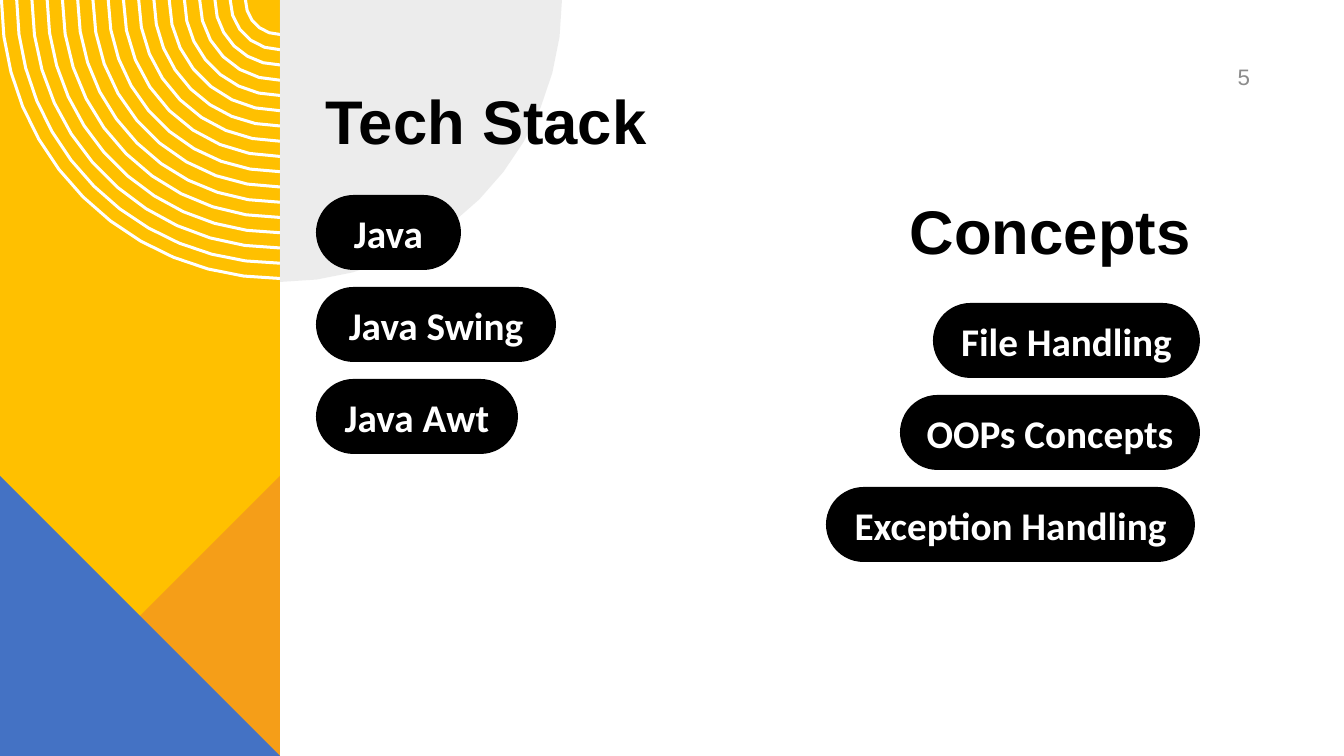
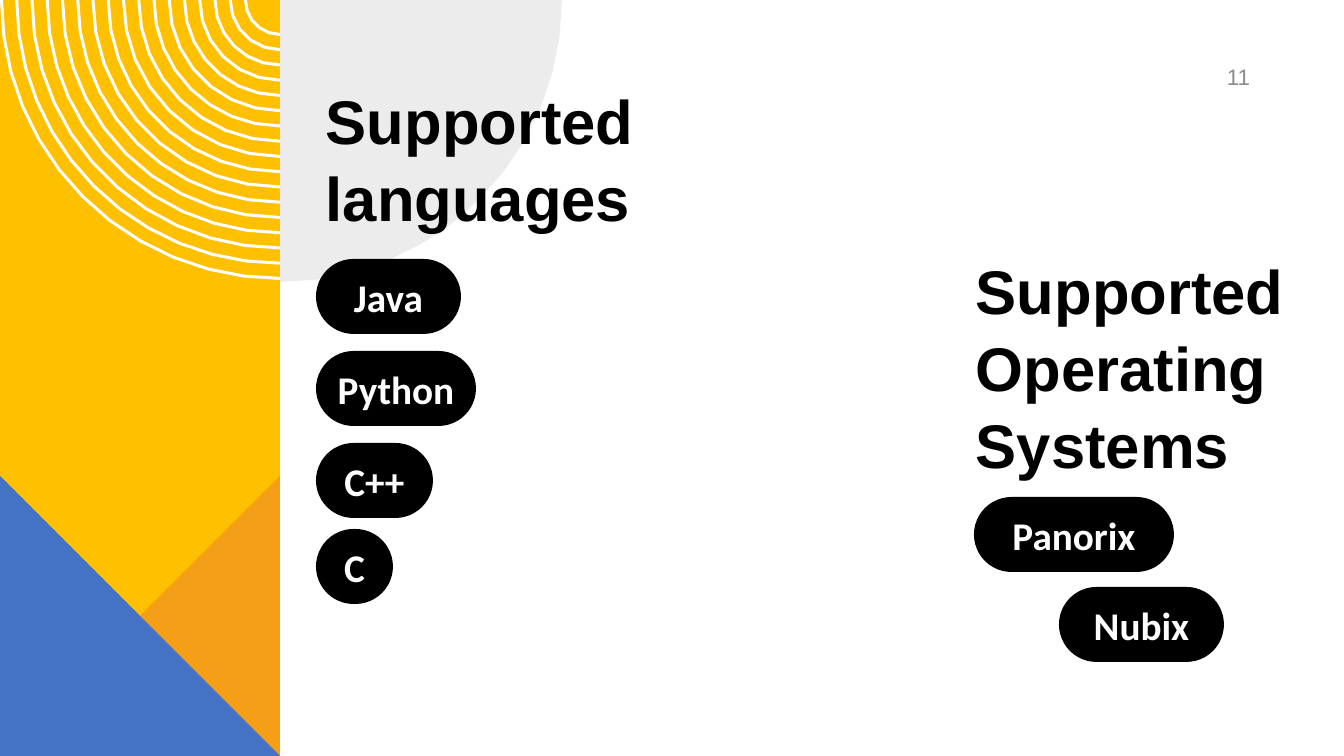
import math
from dataclasses import dataclass, field
from typing import Any, NamedTuple

import lxml.etree
import pptx
import pptx.dml.color
import pptx.enum.shapes
import pptx.enum.text
import pptx.oxml.ns
import pptx.util

WIDE, HIGH = 1344, 756
SCALE = 12192000 / WIDE
EDGE = 280
LEFT = 316
PILL_HIGH = 75
RINGS = 17
STROKE = 3

Align = pptx.enum.text.PP_ALIGN
Anchor = pptx.enum.text.MSO_ANCHOR
Point = tuple[float, float]


class Font(NamedTuple):
    name: str
    size: int
    bold: bool
    color: str


@dataclass(frozen=True)
class Theme:
    gold: str = "FFC000"
    white: str = "FFFFFF"
    orange: str = "ED7D31"
    blue: str = "4472C4"
    gray: str = "DBDBDB"
    black: str = "000000"
    title: Font = Font("Arial", 44, True, "000000")
    number: Font = Font("Arial", 16, False, "8C8C8C")
    pill: Font = Font("Calibri", 28, True, "FFFFFF")


THEME = Theme()


class Box(NamedTuple):
    x: int
    y: int
    w: int
    h: int


class Pill(NamedTuple):
    text: str
    x: int
    w: int
    shift: int = 0


@dataclass(frozen=True)
class Column:
    title: str
    box: Box
    top: int
    pitch: int = 92
    pills: list[Pill] = field(default_factory=list)


@dataclass(frozen=True)
class Page:
    number: int
    columns: list[Column]


PAGES = [
    Page(5, [
        Column("Tech Stack", Box(LEFT, 47, 389, 110), 195, pills=[
            Pill("Java", LEFT, 145),
            Pill("Java Swing", LEFT, 240),
            Pill("Java Awt", LEFT, 202),
        ]),
        Column("Concepts", Box(900, 157, 389, 110), 303, pills=[
            Pill("File Handling", 933, 267),
            Pill("OOPs Concepts", 900, 300),
            Pill("Exception Handling", 826, 369),
        ]),
    ]),
    Page(11, [
        Column("Supported languages", Box(LEFT, 87, 389, 147), 259, pills=[
            Pill("Java", LEFT, 145),
            Pill("Python", LEFT, 160),
            Pill("C++", LEFT, 117),
            Pill("C", LEFT, 77, -6),
        ]),
        Column("Supported Operating Systems", Box(966, 274, 378, 207), 497, 90, [
            Pill("Panorix", 974, 200),
            Pill("Nubix", 1059, 165),
        ]),
    ]),
]


def px(size: float) -> pptx.util.Emu:
    return pptx.util.Emu(round(size * SCALE))


def apply(target: Any, values: dict[str, Any]) -> None:
    for name, value in values.items():
        setattr(target, name, value)


def rgb(color: str) -> pptx.dml.color.RGBColor:
    return pptx.dml.color.RGBColor.from_string(color)


def paint(shape: Any, color: str, alpha: int = 100) -> None:
    shape.shadow.inherit = False
    shape.line.fill.background()
    shape.fill.solid()
    shape.fill.fore_color.rgb = rgb(color)
    if alpha < 100:
        qn = pptx.oxml.ns.qn
        node = shape.fill._xPr.find(f".//{qn('a:srgbClr')}")
        lxml.etree.SubElement(node, qn("a:alpha"), val=str(alpha * 1000))


def write(shape: Any, text: str, font: Font, align: Any, frame: dict[str, Any],
          space: float = 1.0) -> None:
    apply(shape.text_frame, frame)
    para = shape.text_frame.paragraphs[0]
    apply(para, {"alignment": align, "line_spacing": space})
    run = para.add_run()
    run.text = text
    apply(run.font, {"name": font.name, "size": pptx.util.Pt(font.size), "bold": font.bold})
    run.font.color.rgb = rgb(font.color)


def outline(slide: Any, paths: list[list[Point]], close: bool = True) -> Any:
    scaled = [[(px(x), px(y)) for x, y in points] for points in paths]
    form = slide.shapes.build_freeform(*scaled[0][0], scale=1.0)
    for index, points in enumerate(scaled):
        if index:
            form.move_to(*points[0])
        form.add_line_segments(points[1:], close=close)
    return form.convert_to_shape()


def arc(radius: float, start: int) -> list[Point]:
    steps = 4 + round(radius / 35)
    turns = [math.radians(start + 90 * i / steps) for i in range(steps + 1)]
    return [(EDGE + radius * math.cos(t), radius * math.sin(t)) for t in turns]


def draw_rings(slide: Any) -> None:
    step = (EDGE - 36) / (RINGS - 1)
    radii = [EDGE - STROKE / 2 - step * i for i in range(RINGS)]
    shape = outline(slide, [arc(r, 90) for r in radii], close=False)
    shape.shadow.inherit = False
    shape.fill.background()
    shape.line.color.rgb = rgb(THEME.white)
    shape.line.width = px(STROKE)


def draw_back(slide: Any) -> None:
    low = HIGH - EDGE
    paint(outline(slide, [[(0, 0), (EDGE, 0), (EDGE, HIGH), (0, HIGH)]]), THEME.gold)
    draw_rings(slide)
    paint(outline(slide, [[(EDGE, low), (EDGE, HIGH), (0, HIGH)]]), THEME.orange, 50)
    paint(outline(slide, [[(EDGE, HIGH), (0, HIGH), (0, low)]]), THEME.blue)
    paint(outline(slide, [arc(282, 0) + [(EDGE, 0)]]), THEME.gray, 50)


def draw_text(slide: Any, box: Box, text: str, font: Font, align: Any,
              frame: dict[str, Any], space: float = 1.0) -> None:
    shape = slide.shapes.add_textbox(*map(px, box))
    write(shape, text, font, align, {"word_wrap": True, **frame}, space)


def draw_pill(slide: Any, pill: Pill, y: int) -> None:
    kind = pptx.enum.shapes.MSO_SHAPE.ROUNDED_RECTANGLE
    box = Box(pill.x, y + pill.shift, pill.w, PILL_HIGH)
    shape = slide.shapes.add_shape(kind, *map(px, box))
    shape.adjustments[0] = 0.5
    paint(shape, THEME.black)
    write(shape, pill.text, THEME.pill, Align.CENTER,
          {"word_wrap": False, "vertical_anchor": Anchor.MIDDLE})


def draw_page(deck: Any, page: Page) -> None:
    slide = deck.slides.add_slide(deck.slide_layouts[6])
    draw_back(slide)
    draw_text(slide, Box(1142, 50, 118, 53), str(page.number), THEME.number,
              Align.RIGHT, {"vertical_anchor": Anchor.MIDDLE})
    for column in page.columns:
        draw_text(slide, column.box, column.title, THEME.title, Align.LEFT,
                  {"vertical_anchor": Anchor.BOTTOM, "margin_top": 0, "margin_bottom": 0},
                  1.04)
        for index, pill in enumerate(column.pills):
            draw_pill(slide, pill, column.top + index * column.pitch)


def main() -> None:
    deck = pptx.Presentation()
    apply(deck, {"slide_width": px(WIDE), "slide_height": px(HIGH)})
    for page in PAGES:
        draw_page(deck, page)
    deck.save("out.pptx")


if __name__ == "__main__":
    main()
